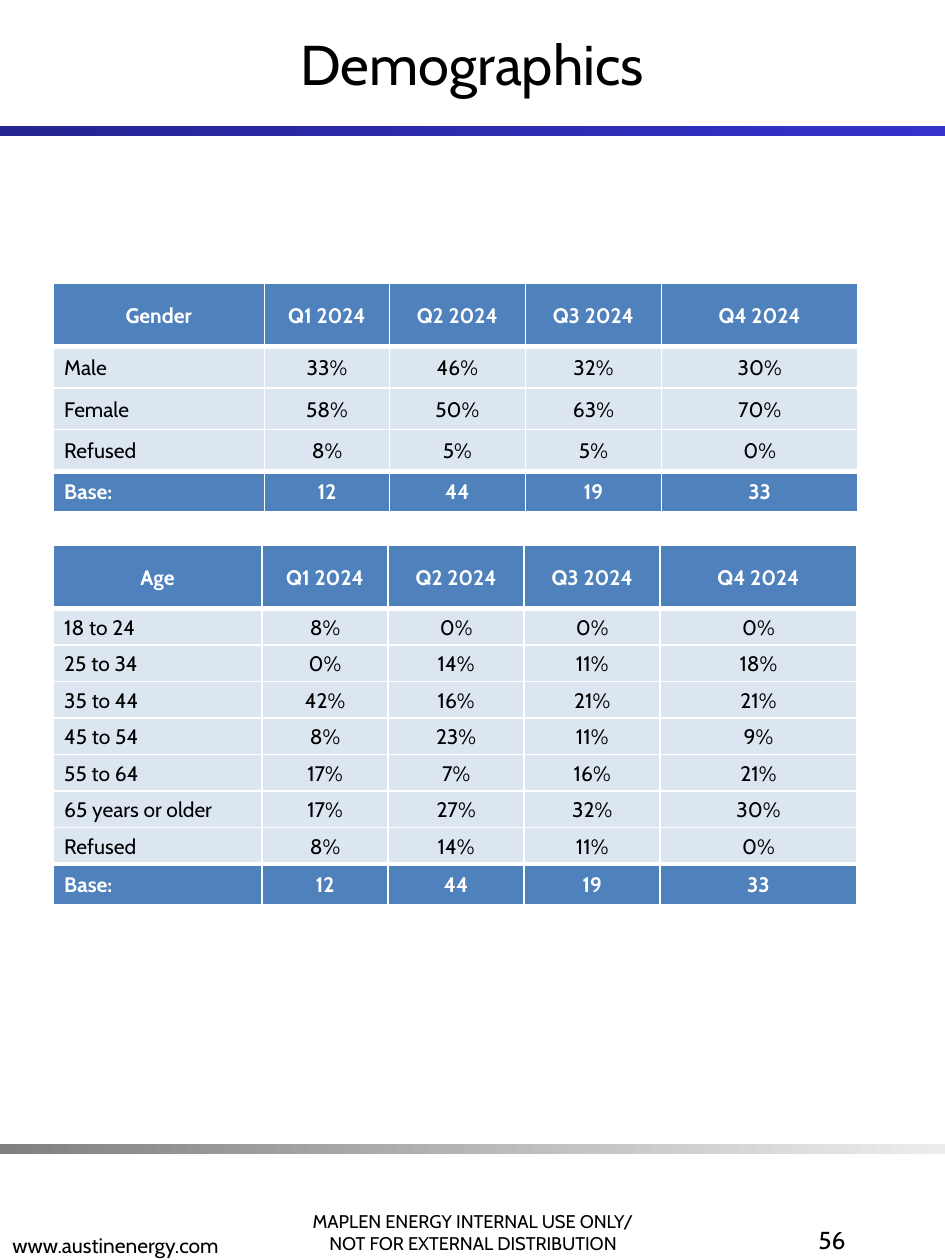
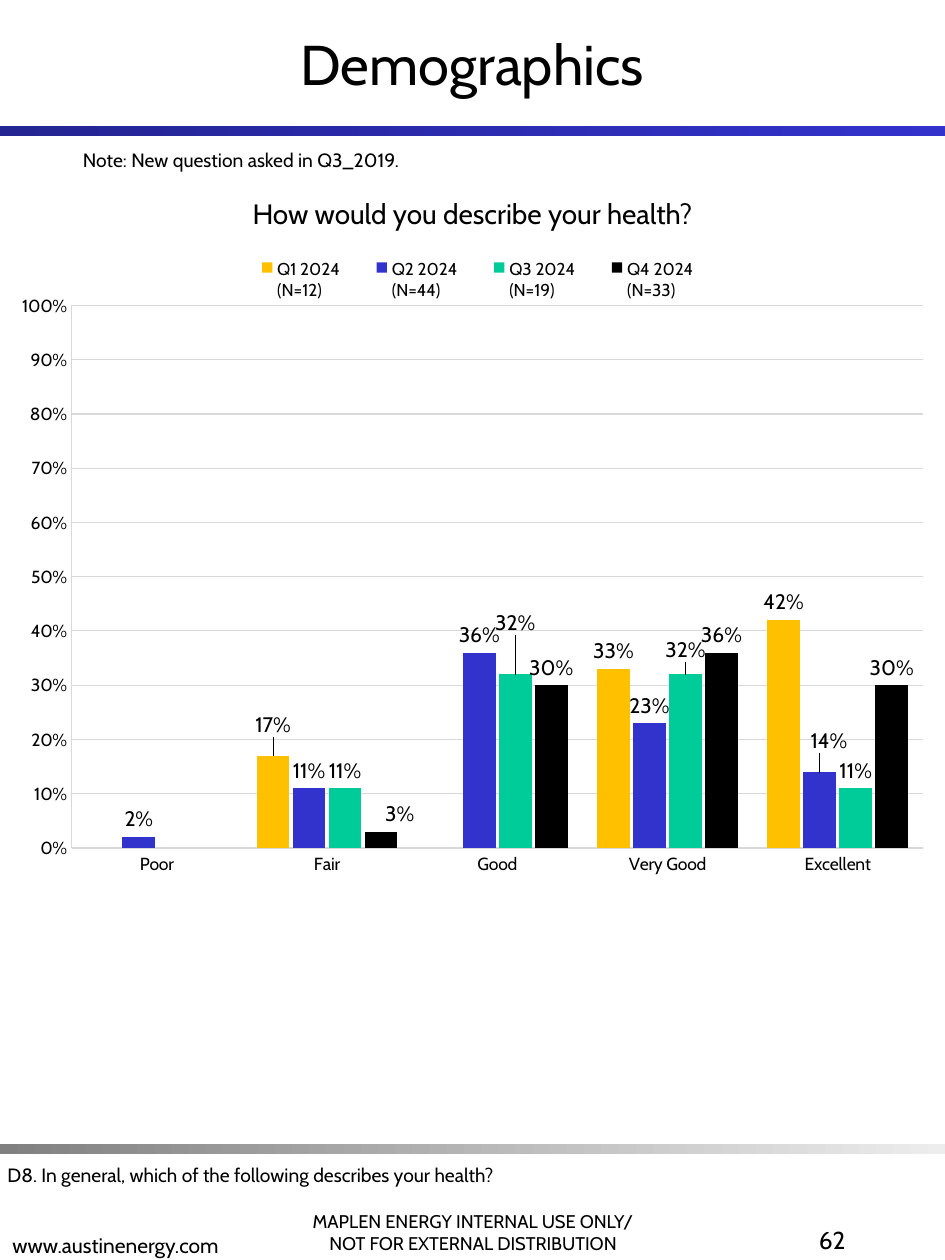
import pptx
import pptx.chart.data
import pptx.dml.color
import pptx.enum.chart
import pptx.enum.shapes
import pptx.enum.text
import pptx.oxml.ns
import pptx.util
from lxml import etree

Inches = pptx.util.Inches
Pt = pptx.util.Pt
qn = pptx.oxml.ns.qn
ALIGN = pptx.enum.text.PP_ALIGN
ANCHOR = pptx.enum.text.MSO_ANCHOR

# Content
TITLE = "Demographics"
FOOTER_LINES = ["MAPLEN ENERGY INTERNAL USE ONLY/", "NOT FOR EXTERNAL DISTRIBUTION"]
WEBSITE = "www.austinenergy.com"
QUARTERS = ["Q1 2024", "Q2 2024", "Q3 2024", "Q4 2024"]
BASES = [12, 44, 19, 33]

GENDER_ROWS = [
    ("Male", "33%", "46%", "32%", "30%"),
    ("Female", "58%", "50%", "63%", "70%"),
    ("Refused", "8%", "5%", "5%", "0%"),
]
AGE_ROWS = [
    ("18 to 24", "8%", "0%", "0%", "0%"),
    ("25 to 34", "0%", "14%", "11%", "18%"),
    ("35 to 44", "42%", "16%", "21%", "21%"),
    ("45 to 54", "8%", "23%", "11%", "9%"),
    ("55 to 64", "17%", "7%", "16%", "21%"),
    ("65 years or older", "17%", "27%", "32%", "30%"),
    ("Refused", "8%", "14%", "11%", "0%"),
]
# Heading, top, body row height, column widths, rows
TABLES = [
    ("Gender", 2.25, 0.33, [1.68, 0.99, 1.08, 1.08, 1.56], GENDER_ROWS),
    ("Age", 4.33, 0.29, [1.66, 1, 1.08, 1.08, 1.56], AGE_ROWS),
]

HEALTH_NOTE = "Note: New question asked in Q3_2019."
HEALTH_HEADING = "How would you describe your health?"
HEALTH_QUESTION = "D8. In general, which of the following describes your health?"
HEALTH_RATINGS = ["Poor", "Fair", "Good", "Very Good", "Excellent"]
HEALTH_VALUES = [
    [None, 0.17, None, 0.33, 0.42],
    [0.02, 0.11, 0.36, 0.23, 0.14],
    [None, 0.11, 0.32, 0.32, 0.11],
    [None, 0.03, 0.30, 0.36, 0.30],
]
# (quarter, rating): label shift as a share of the chart's width and height
LABEL_SHIFTS = {
    (0, 1): (0, -0.02),
    (1, 4): (0.01, -0.02),
    (2, 2): (0, -0.05),
    (2, 3): (0, -0.01),
    (3, 1): (0.02, 0),
}

# Look
FONT = "Cabin"
COLORS = {
    "text": "000000",
    "white": "FFFFFF",
    "band_start": "242492",
    "band_end": "3333CC",
    "footer_start": "808080",
    "footer_end": "EDEDED",
    "table_head": "4F81BD",
    "table_body": "DCE6F1",
    "grid": "D9D9D9",
}
QUARTER_COLORS = ["FFC000", "3233CC", "00CC99", "000000"]
PAGE_WIDTH, PAGE_HEIGHT = 7.5, 10
BANDS = [(1, "band_start", "band_end"), (9.08, "footer_start", "footer_end")]


def rgb(value):
    return pptx.dml.color.RGBColor.from_string(value)


def style_font(font, size, color="text", bold=False):
    font.name = FONT
    font.size = Pt(size)
    font.bold = bold
    font.color.rgb = rgb(COLORS[color])


def place(shape, box):
    shape.left, shape.top, shape.width, shape.height = map(Inches, box)


def fill_text(frame, lines, size, align, anchor):
    frame.word_wrap = True
    frame.vertical_anchor = anchor
    frame.text = "\n".join(lines)
    for paragraph in frame.paragraphs:
        paragraph.alignment = align
        style_font(paragraph.font, size)


def add_text(slide, box, lines, size, align=ALIGN.LEFT, anchor=ANCHOR.TOP):
    shape = slide.shapes.add_textbox(*map(Inches, box))
    fill_text(shape.text_frame, lines, size, align, anchor)


# Shared slide frame
def add_band(slide, top, start, end):
    band = slide.shapes.add_shape(
        pptx.enum.shapes.MSO_SHAPE.RECTANGLE,
        Inches(0), Inches(top), Inches(PAGE_WIDTH), Inches(0.08))
    band.shadow.inherit = False
    band.line.fill.background()
    band.fill.gradient()
    band.fill.gradient_angle = 0
    for stop, position, color in zip(band.fill.gradient_stops, (0, 1), (start, end)):
        stop.position = position
        stop.color.rgb = rgb(COLORS[color])


def add_page(presentation, number):
    slide = presentation.slides.add_slide(presentation.slide_layouts[5])
    for band in BANDS:
        add_band(slide, *band)
    place(slide.shapes.title, (0, 0, PAGE_WIDTH, 1))
    fill_text(slide.shapes.title.text_frame, [TITLE], 32, ALIGN.CENTER, ANCHOR.MIDDLE)
    add_text(slide, (2.16, 9.33, 3.19, 0.67), FOOTER_LINES, 10.5, ALIGN.CENTER, ANCHOR.BOTTOM)
    add_text(slide, (0, 9.36, 3.19, 0.67), [WEBSITE], 12, anchor=ANCHOR.BOTTOM)
    add_text(slide, (5.25, 9.67, 1.56, 0.67), [str(number)], 14, ALIGN.RIGHT)
    return slide


# Tables
def add_borders(cell, widths):
    properties = cell._tc.get_or_add_tcPr()
    for side, width in widths.items():
        line = etree.SubElement(properties, qn("a:ln" + side), w=str(Pt(width)))
        fill = etree.SubElement(line, qn("a:solidFill"))
        etree.SubElement(fill, qn("a:srgbClr"), val=COLORS["white"])


def add_quarter_table(slide, heading, top, row_height, widths, body):
    rows = [(heading, *QUARTERS), *body, ("Base:", *map(str, BASES))]
    heights = [0.5] + [row_height] * len(body) + [0.32]
    last = len(rows) - 1
    table = slide.shapes.add_table(
        len(rows), len(widths), Inches(0.42), Inches(top),
        Inches(sum(widths)), Inches(sum(heights))).table
    table.horz_banding = False
    for column, width in zip(table.columns, widths):
        column.width = Inches(width)
    for r, (values, height) in enumerate(zip(rows, heights)):
        table.rows[r].height = Inches(height)
        strong = r in (0, last)
        borders = {"L": 1, "R": 1,
                   "T": 3 if r in (1, last) else 1,
                   "B": 3 if r in (0, last - 1) else 1}
        for c, value in enumerate(values):
            is_label = c == 0 and r > 0
            cell = table.cell(r, c)
            add_borders(cell, borders)
            cell.fill.solid()
            cell.fill.fore_color.rgb = rgb(COLORS["table_head" if strong else "table_body"])
            cell.vertical_anchor = ANCHOR.MIDDLE
            cell.margin_left = Inches(0.09 if is_label else 0.01)
            cell.margin_top = cell.margin_right = Inches(0.01)
            cell.margin_bottom = 0
            cell.text = value
            paragraph = cell.text_frame.paragraphs[0]
            paragraph.alignment = ALIGN.LEFT if is_label else ALIGN.CENTER
            style_font(paragraph.font, 12, "white" if strong else "text", strong)


# Chart
def manual_layout(**settings):
    layout = etree.Element(qn("c:layout"))
    manual = etree.SubElement(layout, qn("c:manualLayout"))
    for name, value in settings.items():
        etree.SubElement(manual, qn("c:" + name), val=str(value))
    return layout


def style_axis(axis, line_width):
    axis.major_tick_mark = axis.minor_tick_mark = pptx.enum.chart.XL_TICK_MARK.NONE
    style_font(axis.tick_labels.font, 10)
    style_line(axis.format.line, line_width)


def style_line(line, width):
    line.color.rgb = rgb(COLORS["grid"])
    line.width = Pt(width)


def add_health_chart(slide):
    data = pptx.chart.data.CategoryChartData(number_format="0%")
    data.categories = HEALTH_RATINGS
    for quarter, base, values in zip(QUARTERS, BASES, HEALTH_VALUES):
        data.add_series(f"{quarter}\n(N={base})", values)
    chart = slide.shapes.add_chart(
        pptx.enum.chart.XL_CHART_TYPE.COLUMN_CLUSTERED,
        Inches(0.06), Inches(1.66), Inches(7.39), Inches(5.35), data).chart
    chart.has_title = False
    style_font(chart.font, 10)

    # Axes
    style_axis(chart.category_axis, 0.62)
    axis = chart.value_axis
    style_axis(axis, 0.41)
    axis.minimum_scale, axis.maximum_scale, axis.major_unit = 0, 1, 0.1
    axis.tick_labels.number_format = "0%"
    axis.tick_labels.number_format_is_linked = False
    axis.has_major_gridlines = True
    style_line(axis.major_gridlines.format.line, 0.62)

    # Legend and plot position
    chart.has_legend = True
    chart.legend.position = pptx.enum.chart.XL_LEGEND_POSITION.TOP
    chart.legend.include_in_layout = False
    style_font(chart.legend.font, 9.8)
    legend = chart.legend._element
    for layout in legend.findall(qn("c:layout")):
        legend.remove(layout)
    legend.find(qn("c:legendPos")).addnext(manual_layout(
        xMode="edge", yMode="edge", x=0.24, y=0.07, w=0.53, h=0.07))
    plot_area = chart._chartSpace.chart.plotArea
    for layout in plot_area.findall(qn("c:layout")):
        plot_area.remove(layout)
    plot_area.insert(0, manual_layout(
        layoutTarget="inner", xMode="edge", yMode="edge",
        x=0.069, y=0.143, w=0.914, h=0.805))

    # Columns and their labels
    plot = chart.plots[0]
    plot.vary_by_categories = False
    plot.gap_width, plot.overlap = 90, -10
    outside = pptx.enum.chart.XL_LABEL_POSITION.OUTSIDE_END
    for series, color in zip(plot.series, QUARTER_COLORS):
        series.format.fill.solid()
        series.format.fill.fore_color.rgb = rgb(color)
        series.invert_if_negative = False
        labels = series.data_labels
        labels.show_value = True
        labels.position = outside
        labels.number_format = "0%"
        labels.number_format_is_linked = False
        style_font(labels.font, 12)
    for (quarter, rating), (x, y) in LABEL_SHIFTS.items():
        series = plot.series[quarter]
        label = series.points[rating].data_label
        label.position = outside
        style_font(label.font, 12)
        for index in series._element.iterfind(f"{qn('c:dLbls')}/{qn('c:dLbl')}/{qn('c:idx')}"):
            if index.get("val") == str(rating):
                index.addnext(manual_layout(x=x, y=y))


def main():
    presentation = pptx.Presentation()
    presentation.slide_width = Inches(PAGE_WIDTH)
    presentation.slide_height = Inches(PAGE_HEIGHT)

    # Gender and age
    slide = add_page(presentation, 56)
    for table in TABLES:
        add_quarter_table(slide, *table)

    # Health
    slide = add_page(presentation, 62)
    add_text(slide, (-0.04, 9.18, 6.85, 0.29), [HEALTH_QUESTION], 11)
    add_health_chart(slide)
    add_text(slide, (0.56, 1.13, 6.44, 0.29), [HEALTH_NOTE], 11)
    add_text(slide, (1.69, 1.51, 4.12, 0.37), [HEALTH_HEADING], 16, ALIGN.CENTER)

    presentation.save("out.pptx")


if __name__ == "__main__":
    main()
